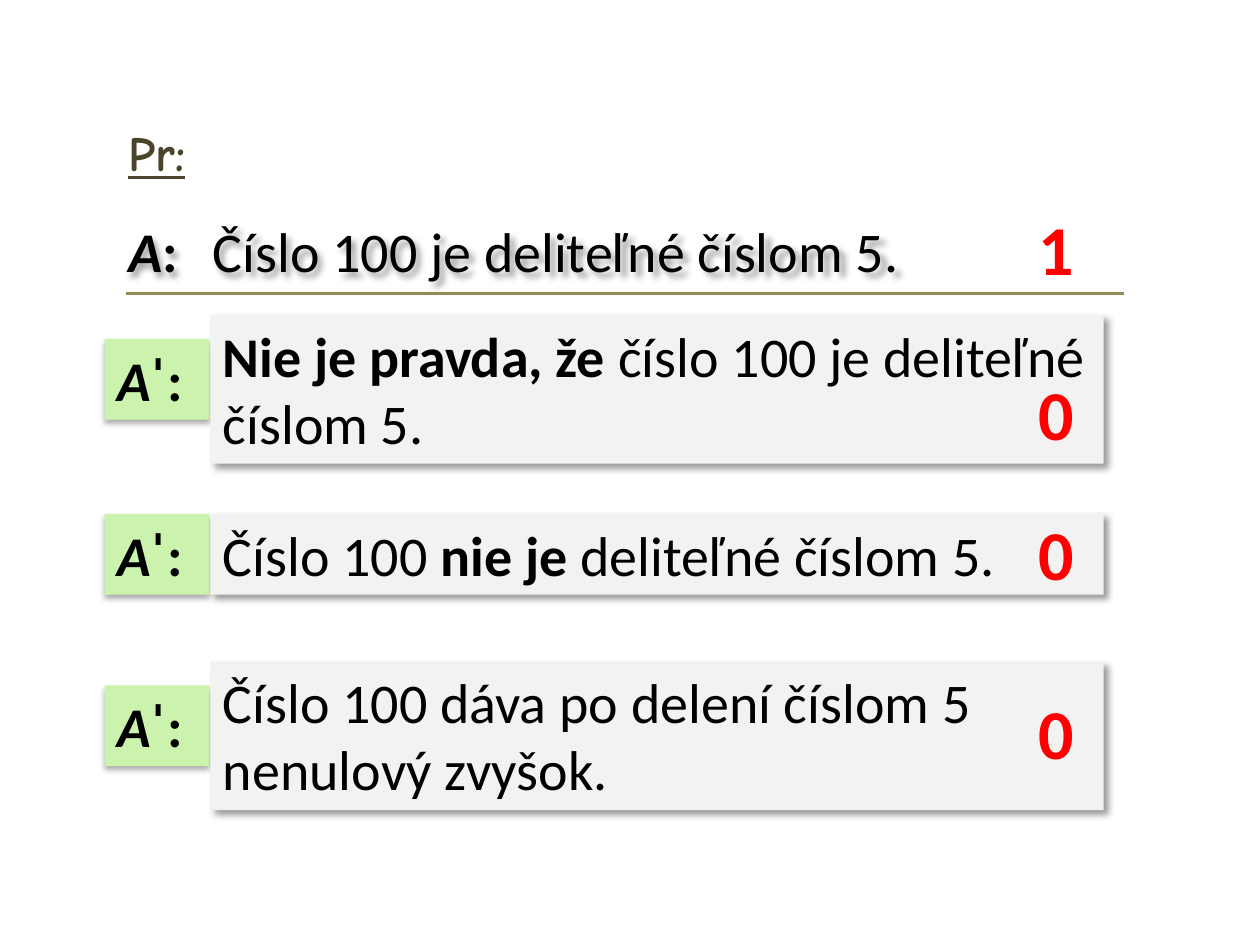
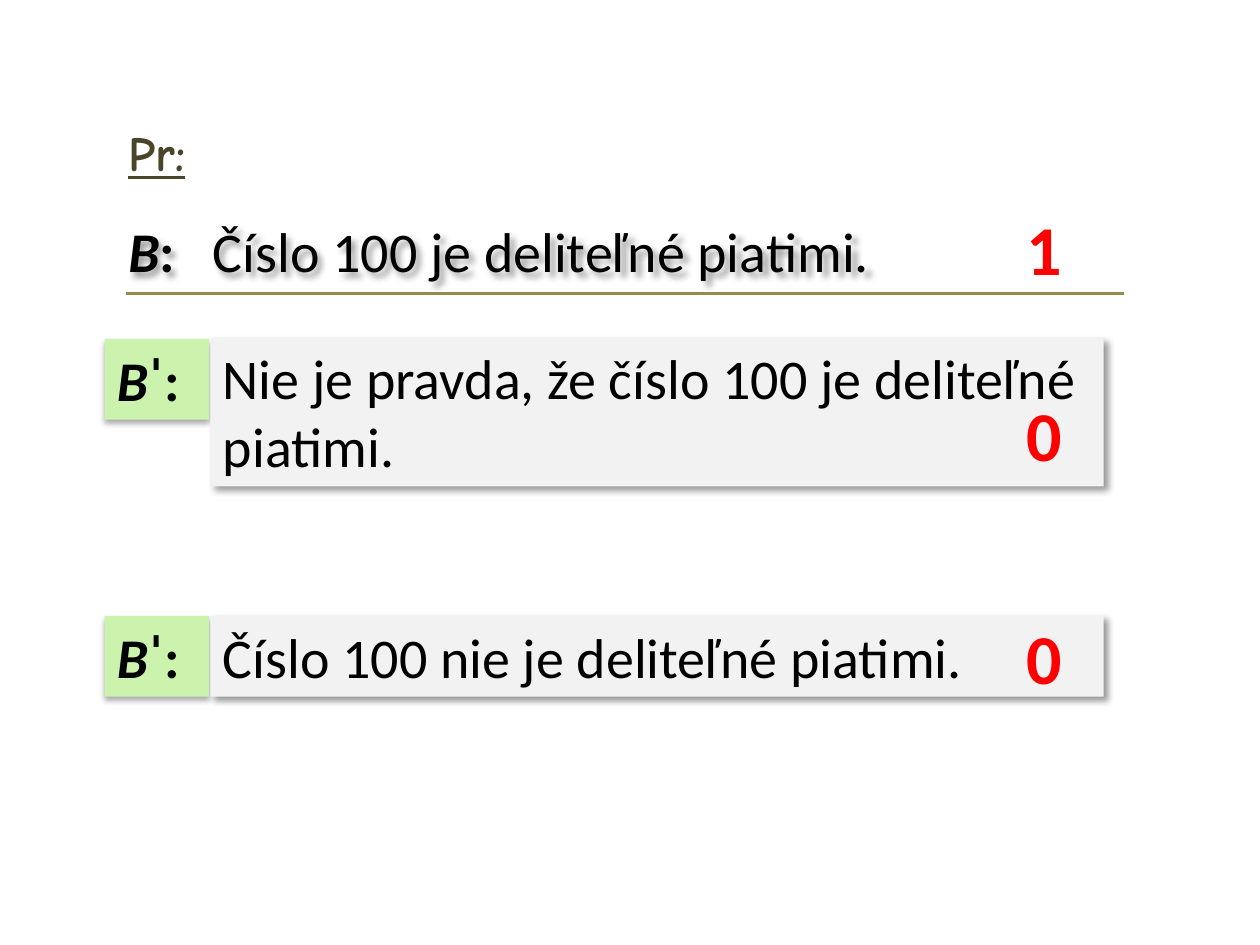
from dataclasses import dataclass

from lxml import etree
from pptx import Presentation
from pptx.dml.color import RGBColor
from pptx.enum import shapes, text
from pptx.oxml import ns
from pptx.util import Inches, Pt

BODY_FONT, HEADING_FONT = "Calibri", "Comic Neue"
BLACK, RED, OLIVE, RULE = "000000", "FF0000", "4A452A", "948A54"
LABEL_FILL, SENTENCE_FILL = "CBF3AD", "F2F2F2"
LINE_HEIGHT, TWO_LINE_HEIGHT = 0.64, 1.18
LABEL_LEFT, LABEL_WIDTH = 0.83, 0.83
SENTENCE_LEFT, SENTENCE_WIDTH = 1.67, 7.09
TEXT_LEFT = 0.92


@dataclass(frozen=True)
class Shadow:
    opacity: int
    blur: float
    distance: float
    angle: int


@dataclass(frozen=True)
class Span:
    words: str
    bold: bool = False
    italic: bool = False


@dataclass(frozen=True)
class Negation:
    spans: tuple[Span, ...]
    top: float
    height: float
    label_top: float
    truth_top: float


@dataclass(frozen=True)
class Example:
    letter: str
    statement: str
    truth_left: float
    negations: tuple[Negation, ...]


LABEL_SHADOW = Shadow(32, 3.5, 2.2, 90)
SENTENCE_SHADOW = Shadow(40, 4, 3, 45)

EXAMPLES = (
    Example("A", "Číslo 100 je deliteľné číslom 5.", 7.92, (
        Negation((Span("Nie je pravda, že ", bold=True),
                  Span("číslo 100 je deliteľné číslom 5.")),
                 2.5, TWO_LINE_HEIGHT, 2.69, 2.89),
        Negation((Span("Číslo 100 "), Span("nie je ", bold=True),
                  Span("deliteľné číslom 5.")),
                 4.08, LINE_HEIGHT, 4.08, 4),
        Negation((Span("Číslo 100 dáva po delení číslom 5 nenulový zvyšok."),),
                 5.25, TWO_LINE_HEIGHT, 5.44, 5.42),
    )),
    Example("B", "Číslo 100 je deliteľné piatimi.", 7.83, (
        Negation((Span("Nie je pravda, že číslo 100 je deliteľné piatimi."),),
                 2.68, TWO_LINE_HEIGHT, 2.69, 3.06),
        Negation((Span("Číslo 100 nie je deliteľné piatimi."),),
                 4.89, LINE_HEIGHT, 4.89, 4.83),
    )),
)


def color(value: str) -> RGBColor:
    return RGBColor.from_string(value)


def cast_shadow(shape, shadow: Shadow) -> None:
    shape.shadow.inherit = False
    effects = shape._element.spPr.find(ns.qn("a:effectLst"))
    outer = etree.SubElement(
        effects, ns.qn("a:outerShdw"), blurRad=str(Pt(shadow.blur)),
        dist=str(Pt(shadow.distance)), dir=str(shadow.angle * 60000),
        algn="tl", rotWithShape="0")
    black = etree.SubElement(outer, ns.qn("a:srgbClr"), val=BLACK)
    etree.SubElement(black, ns.qn("a:alpha"), val=str(shadow.opacity * 1000))


def write(shape, spans: tuple[Span, ...], size: int = 32, font: str = BODY_FONT,
          ink: str = BLACK, align=text.PP_ALIGN.LEFT, tab: float = 0):
    """Fill the shape with one paragraph and return that paragraph."""
    frame = shape.text_frame
    frame.word_wrap = True
    frame.auto_size = text.MSO_AUTO_SIZE.SHAPE_TO_FIT_TEXT
    frame.vertical_anchor = text.MSO_ANCHOR.TOP
    paragraph = frame.paragraphs[0]
    paragraph.alignment = align
    if tab:
        stops = etree.SubElement(paragraph._p.get_or_add_pPr(), ns.qn("a:tabLst"))
        etree.SubElement(stops, ns.qn("a:tab"), pos=str(Inches(tab)), algn="l")
    paragraph.font.size = Pt(size)
    paragraph.font.name = font
    paragraph.font.color.rgb = color(ink)
    for span in spans:
        run = paragraph.add_run()
        run.text = span.words
        run.font.bold = span.bold
        run.font.italic = span.italic
    return paragraph


def add_text(slide, left: float, top: float, width: float, height: float):
    return slide.shapes.add_textbox(
        Inches(left), Inches(top), Inches(width), Inches(height))


def add_card(slide, left: float, top: float, width: float, height: float,
             fill: str, shadow: Shadow):
    card = slide.shapes.add_shape(
        shapes.MSO_SHAPE.RECTANGLE,
        Inches(left), Inches(top), Inches(width), Inches(height))
    card.fill.solid()
    card.fill.fore_color.rgb = color(fill)
    card.line.fill.background()
    cast_shadow(card, shadow)
    return card


def add_truth_value(slide, value: str, left: float, top: float) -> None:
    write(add_text(slide, left, top, 0.92, 0.77), (Span(value, bold=True),),
          size=40, ink=RED, align=text.PP_ALIGN.CENTER)


def add_heading_rule(slide) -> None:
    rule = slide.shapes.add_connector(
        shapes.MSO_CONNECTOR.STRAIGHT,
        Inches(1), Inches(2.33), Inches(8.92), Inches(2.33))
    rule.line.color.rgb = color(RULE)
    rule.line.width = Pt(2)
    etree.SubElement(rule._element.spPr, ns.qn("a:effectLst"))


def add_negation(slide, example: Example, negation: Negation) -> None:
    label = add_card(slide, LABEL_LEFT, negation.label_top, LABEL_WIDTH,
                     LINE_HEIGHT, LABEL_FILL, LABEL_SHADOW)
    write(label, (Span(example.letter, bold=True, italic=True),
                  Span("ˈ:", bold=True)))
    sentence = add_card(slide, SENTENCE_LEFT, negation.top, SENTENCE_WIDTH,
                        negation.height, SENTENCE_FILL, SENTENCE_SHADOW)
    write(sentence, negation.spans)
    add_truth_value(slide, "0", example.truth_left, negation.truth_top)


def add_example(deck, example: Example) -> None:
    slide = deck.slides.add_slide(deck.slide_layouts[6])
    heading = write(add_text(slide, TEXT_LEFT, 0.92, 1, 0.58),
                    (Span("Pr:", bold=True),), 28, HEADING_FONT, OLIVE)
    heading.runs[0].font.underline = True
    statement = add_text(slide, TEXT_LEFT, 1.67, 7.33, LINE_HEIGHT)
    cast_shadow(statement, SENTENCE_SHADOW)
    write(statement, (Span(example.letter, bold=True, italic=True),
                      Span(":\t", bold=True), Span(example.statement)), tab=0.67)
    add_heading_rule(slide)
    add_truth_value(slide, "1", example.truth_left, 1.58)
    for negation in example.negations:
        add_negation(slide, example, negation)


def main() -> None:
    deck = Presentation()
    deck.slide_width, deck.slide_height = Inches(10), Inches(7.5)
    for example in EXAMPLES:
        add_example(deck, example)
    deck.save("out.pptx")


if __name__ == "__main__":
    main()
